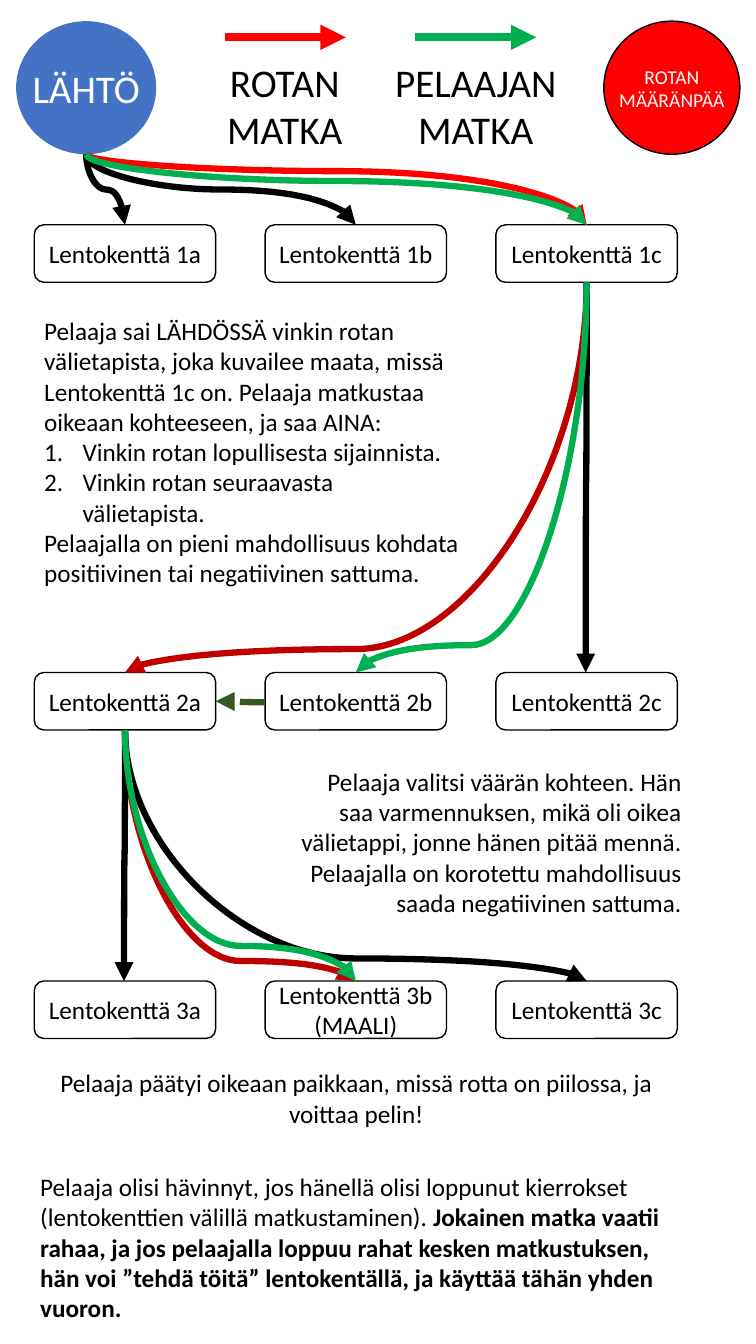
from pptx import Presentation
from pptx.dml.color import RGBColor
from pptx.enum.dml import MSO_LINE
from pptx.enum.shapes import MSO_CONNECTOR as Link, MSO_SHAPE as Form
from pptx.enum.text import MSO_ANCHOR as Anchor, MSO_AUTO_SIZE as Fit, PP_ALIGN as Align
from pptx.oxml.ns import qn
from pptx.util import Inches, Pt
from lxml.etree import SubElement

# Colours
BLACK, WHITE, BLUE = "000000", "FFFFFF", "4472C4"
RED, DARK_RED, GREEN, DARK_GREEN = "FF0000", "C00000", "00B050", "385723"

# Grid of 75 columns by 133.3 rows, each cell 0.1 inch
CELL = 0.1
STOP_LEFT, STOP_STEP, STOP_WIDTH, STOP_HEIGHT = 3.4, 22.9, 18, 5.7
STOP_TOPS = {1: 22.3, 2: 66.7, 3: 97.3}
ELLIPSE_BOTTOM, BOX_BOTTOM, BOX_TOP, BOX_LEFT, BOX_RIGHT = 4, 2, 0, 1, 3


def colour(value):
    return RGBColor.from_string(value)


def grid(*cells):
    return [Inches(cell * CELL) for cell in cells]


class Board:
    font = "Calibri"
    size = 18

    def __init__(self, slide):
        self.shapes = slide.shapes

    def add_text(self, frame, paragraphs, align, **style):
        """Each paragraph is a list of (text, format) spans."""
        for number, spans in enumerate(paragraphs):
            para = frame.add_paragraph() if number else frame.paragraphs[0]
            para.alignment = align
            for text, extra in spans:
                span = para.add_run()
                span.text = text
                look = {"name": self.font, "size": self.size, "color": BLACK, **style, **extra}
                span.font.color.rgb = colour(look.pop("color"))
                look["size"] = Pt(look["size"])
                for key, value in look.items():
                    setattr(span.font, key, value)

    def text(self, place, paragraphs, align=Align.LEFT, **style):
        box = self.shapes.add_textbox(*grid(*place))
        frame = box.text_frame
        frame.word_wrap = True
        frame.auto_size = Fit.SHAPE_TO_FIT_TEXT
        self.add_text(frame, paragraphs, align, **style)
        return frame

    def shape(self, form, place, fill, outline=None):
        box = self.shapes.add_shape(form, *grid(*place))
        box.shadow.inherit = False
        box.fill.solid()
        box.fill.fore_color.rgb = colour(fill)
        if outline:
            box.line.color.rgb = colour(outline)
            box.line.width = Pt(1)
        else:
            box.line.fill.background()
        return box

    def airport(self, column, row, label):
        place = (STOP_LEFT + column * STOP_STEP, STOP_TOPS[row], STOP_WIDTH, STOP_HEIGHT)
        box = self.shape(Form.ROUNDED_RECTANGLE, place, WHITE, BLACK)
        frame = box.text_frame
        frame.word_wrap = True
        frame.vertical_anchor = Anchor.MIDDLE
        self.add_text(frame, [[(label, {})]], Align.CENTER)
        # Thin outline on the letters
        properties = frame.paragraphs[0].runs[0]._r.get_or_add_rPr()
        edge = SubElement(properties, qn("a:ln"), w=str(Pt(0.75)))
        SubElement(SubElement(edge, qn("a:solidFill")), qn("a:srgbClr"), val=BLACK)
        properties.insert(0, edge)
        return box

    def arrow(self, kind, ends, hue, width):
        line = self.shapes.add_connector(kind, *ends)
        line.line.color.rgb = colour(hue)
        line.line.width = Pt(width)
        SubElement(line.line._get_or_add_ln(), qn("a:tailEnd"), type="triangle")
        SubElement(line._element.spPr, qn("a:effectLst"))
        return line

    def curve(self, start, end, hue, bend=0.5, sites=(BOX_BOTTOM, BOX_TOP)):
        """Curve from the bottom of one shape to the top of another."""
        x1, y1 = start.left + start.width // 2, start.top + start.height
        x2, y2 = end.left + end.width // 2, end.top
        if x1 == x2:
            x2 -= Inches(0.01)
        length, spread = y2 - y1, abs(x2 - x1)
        left, top = (x1 + x2 - length) // 2, (y1 + y2 - spread) // 2
        line = self.arrow(Link.CURVE, (left, top, left + length, top + spread), hue, 4.5)
        # A quarter turn makes the curve leave and arrive vertically
        frame = line._element.spPr.find(qn("a:xfrm"))
        frame.set("rot", str((270 if x2 > x1 else 90) * 60000))
        if x2 > x1:
            frame.set("flipH", "1")
        self.join(line, start, end, sites, bend)

    def sideways(self, start, end, hue):
        """Dashed curve from the left side of one box to the right side of another."""
        left, middle = end.left + end.width, end.top + end.height // 2
        ends = (left, middle, start.left, middle + Inches(0.01))
        line = self.arrow(Link.CURVE, ends, hue, 4.5)
        line.line.dash_style = MSO_LINE.DASH
        line._element.spPr.find(qn("a:xfrm")).set("rot", str(180 * 60000))
        self.join(line, start, end, (BOX_LEFT, BOX_RIGHT), 0.5)

    def join(self, line, start, end, sites, bend):
        line._connect_begin_to(start, sites[0])
        line._connect_end_to(end, sites[1])
        guides = line._element.spPr.find(qn("a:prstGeom")).find(qn("a:avLst"))
        SubElement(guides, qn("a:gd"), name="adj1", fmla=f"val {round(bend * 100000)}")


def number(para):
    properties = para._p.get_or_add_pPr()
    properties.set("marL", str(Inches(0.38)))
    properties.set("indent", str(-Inches(0.38)))
    SubElement(properties, qn("a:buFont"), typeface="+mj-lt")
    SubElement(properties, qn("a:buAutoNum"), type="arabicPeriod")


def main():
    deck = Presentation()
    deck.slide_width, deck.slide_height = Inches(7.5), Inches(13.33)
    board = Board(deck.slides.add_slide(deck.slide_layouts[6]))

    # Start, goal and legend
    start = board.shape(Form.OVAL, (1.6, 2.1, 13.9, 13.2), BLUE)
    board.shape(Form.OVAL, (59.9, 2.1, 13.5, 13.2), RED, BLACK)
    for place, label, size, hue in [
        ((1.6, 5.9, 13.9, 5.7), "LÄHTÖ", 28, WHITE),
        ((21.3, 5.3, 13.9, 10.4), "ROTAN MATKA", 28, BLACK),
        ((37.5, 5.3, 19.4, 10.4), "PELAAJAN MATKA", 28, BLACK),
        ((59.7, 5.9, 13.9, 5.7), "ROTAN MÄÄRÄNPÄÄ", 14, WHITE),
    ]:
        board.text(place, [[(label, {})]], Align.CENTER, size=size, color=hue)
    for left, hue in [(22.3, RED), (41.2, GREEN)]:
        board.arrow(Link.STRAIGHT, grid(left, 3.7, left + 12, 3.7), hue, 6)

    # Airports
    stops = {}
    for row in STOP_TOPS:
        for column, letter in enumerate("abc"):
            name = f"{row}{letter}"
            goal = " (MAALI)" if name == "3b" else ""
            stops[name] = board.airport(column, row, f"Lentokenttä {name}{goal}")

    # Journeys
    for name, hue, bend in [("1a", BLACK, 0.5), ("1b", BLACK, 0.5),
                            ("1c", RED, 0.24), ("1c", GREEN, 0.38)]:
        board.curve(start, stops[name], hue, bend, (ELLIPSE_BOTTOM, BOX_TOP))
    for origin, target, hue, bend in [
        ("1c", "2a", DARK_RED, 0.94), ("1c", "2c", BLACK, 0.5), ("1c", "2b", GREEN, 0.93),
        ("2a", "3b", DARK_RED, 0.92), ("2a", "3a", BLACK, 0.5),
        ("2a", "3c", BLACK, 0.91), ("2a", "3b", GREEN, 0.86),
    ]:
        board.curve(stops[origin], stops[target], hue, bend)
    board.sideways(stops["2b"], stops["2a"], DARK_GREEN)

    # Explanations
    rules = board.text((3.4, 30.8, 43.2, 28.3), [
        [("Pelaaja sai LÄHDÖSSÄ vinkin rotan välietapista, joka kuvailee maata, missä "
          "Lentokenttä 1c on. Pelaaja matkustaa oikeaan kohteeseen, ja saa AINA:", {})],
        [("Vinkin rotan lopullisesta sijainnista.", {})],
        [("Vinkin rotan seuraavasta välietapista.", {})],
        [("Pelaajalla on pieni mahdollisuus kohdata positiivinen tai negatiivinen sattuma.", {})],
    ])
    for para in rules.paragraphs[1:3]:
        number(para)
    board.text((28, 75.5, 40.6, 16.2), [[(
        "Pelaaja valitsi väärän kohteen. Hän saa varmennuksen, mikä oli oikea välietappi, "
        "jonne hänen pitää mennä. Pelaajalla on korotettu mahdollisuus saada negatiivinen "
        "sattuma.", {})]], Align.RIGHT)
    board.text((3.1, 105.4, 64.5, 7.1), [[(
        "Pelaaja päätyi oikeaan paikkaan, missä rotta on piilossa, ja voittaa pelin!", {})]],
        Align.CENTER)
    board.text((3, 115.7, 64.5, 16.2), [[
        ("Pelaaja olisi hävinnyt, jos hänellä olisi loppunut kierrokset (lentokenttien "
         "välillä matkustaminen). ", {}),
        ("Jokainen matka vaatii rahaa, ja jos pelaajalla loppuu rahat kesken matkustuksen, "
         "hän voi ”tehdä töitä” lentokentällä, ja käyttää tähän yhden vuoron.", {"bold": True}),
    ]])

    deck.save("out.pptx")


if __name__ == "__main__":
    main()
